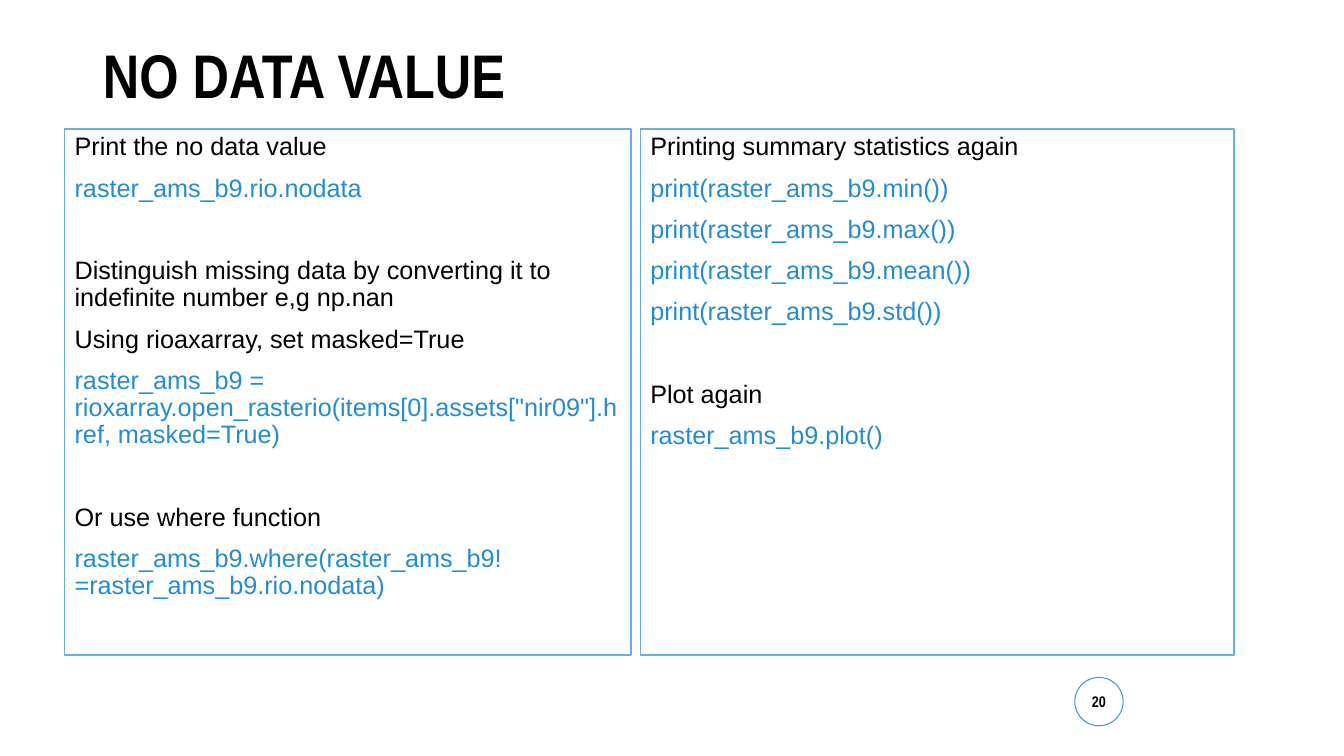
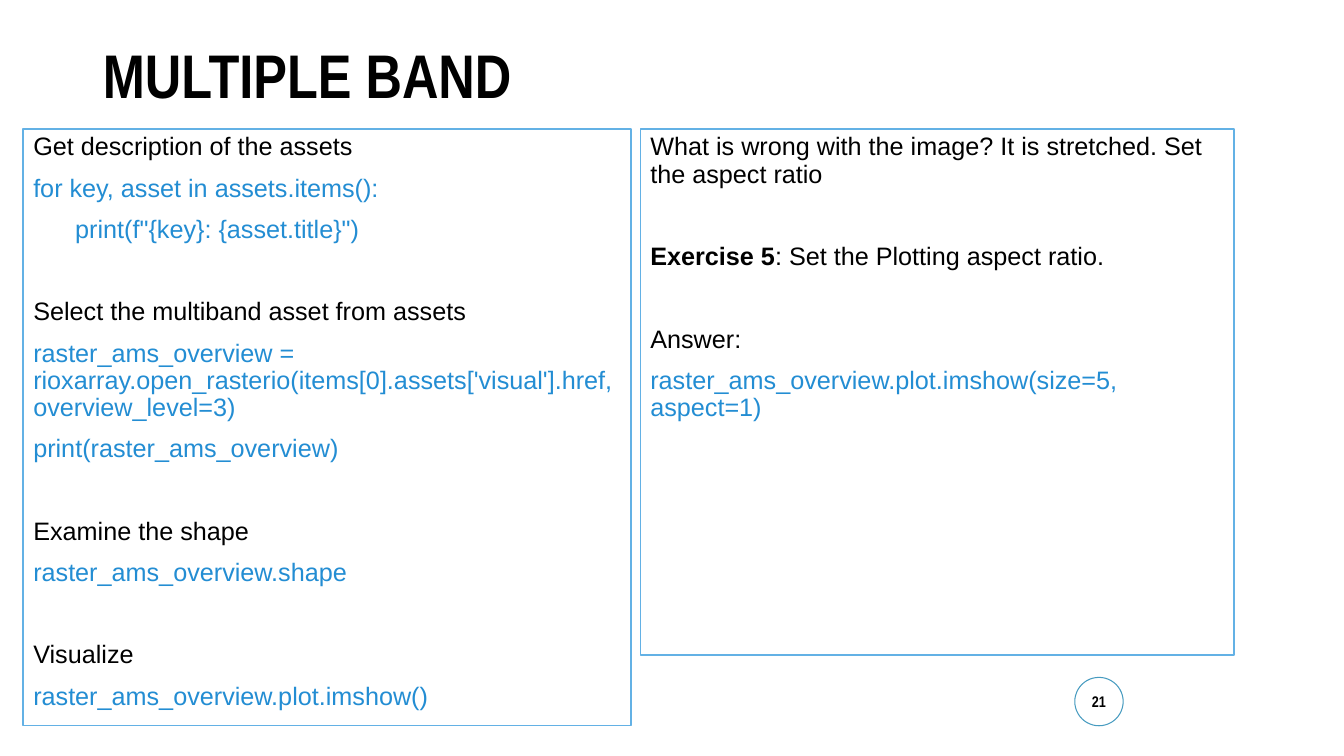
import pptx
import pptx.dml.color
import pptx.enum.shapes
import pptx.enum.text
import pptx.util
from pptx.util import Inches

TITLE_FONT, BODY_FONT = "Arial Narrow", "Arial"
BLACK, WHITE = "000000", "FFFFFF"
CODE_BLUE, FRAME_BLUE, BADGE_BLUE = "238DD3", "63B1E5", "469BC0"
FRAME_TOP = 1.28
RIGHT_FRAME = (6.35, FRAME_TOP, 5.89, 5.22)
LINE_GAP, SECTION_GAP = 10, 39.5  # points before a paragraph


def paint(target, color):
    """Give a fill or a font a solid colour."""
    if hasattr(target, "solid"):
        target.solid()
        target.fore_color.rgb = pptx.dml.color.RGBColor.from_string(color)
    else:
        target.color.rgb = pptx.dml.color.RGBColor.from_string(color)


def place(box, left, top, width, height):
    box.left, box.top = Inches(left), Inches(top)
    box.width, box.height = Inches(width), Inches(height)


# Each column is a list of sections; each section lists (style, text) lines
slides = [
    {
        "title": "NO DATA VALUE",
        "number": 20,
        "left_frame": (0.64, FRAME_TOP, 5.62, 5.22),
        "left": [
            [("text", "Print the no data value"),
             ("code", "raster_ams_b9.rio.nodata")],
            [("text", "Distinguish missing data by converting it to indefinite number e,g np.nan"),
             ("text", "Using rioaxarray, set masked=True"),
             ("code", 'raster_ams_b9 = rioxarray.open_rasterio(items[0].assets["nir09"].href, masked=True)')],
            [("text", "Or use where function"),
             ("code", "raster_ams_b9.where(raster_ams_b9!=raster_ams_b9.rio.nodata)")],
        ],
        "right": [
            [("text", "Printing summary statistics again"),
             ("code", "print(raster_ams_b9.min())"),
             ("code", "print(raster_ams_b9.max())"),
             ("code", "print(raster_ams_b9.mean())"),
             ("code", "print(raster_ams_b9.std())")],
            [("text", "Plot again"),
             ("code", "raster_ams_b9.plot()")],
        ],
    },
    {
        "title": "MULTIPLE BAND",
        "number": 21,
        "left_frame": (0.23, FRAME_TOP, 6.03, 5.92),
        "left": [
            [("text", "Get description of the assets"),
             ("code", "for key, asset in assets.items():"),
             ("code", '      print(f"{key}: {asset.title}")')],
            [("text", "Select the multiband asset from assets"),
             ("code", "raster_ams_overview = rioxarray.open_rasterio(items[0].assets['visual'].href, overview_level=3)"),
             ("code", "print(raster_ams_overview)")],
            [("text", "Examine the shape"),
             ("code", "raster_ams_overview.shape")],
            [("text", "Visualize"),
             ("code", "raster_ams_overview.plot.imshow()")],
        ],
        "right": [
            [("text", "What is wrong with the image? It is stretched. Set the aspect ratio")],
            [("exercise", "Exercise 5: Set the Plotting aspect ratio.")],
            [("text", "Answer:"),
             ("code", "raster_ams_overview.plot.imshow(size=5, aspect=1)")],
        ],
    },
]

deck = pptx.Presentation()
deck.slide_width, deck.slide_height = Inches(13.33), Inches(7.5)
two_content = deck.slide_layouts[3]

for content in slides:
    page = deck.slides.add_slide(two_content)
    paint(page.background.fill, WHITE)

    # Title
    title = page.shapes.title
    place(title, 0.92, 0.4, 11.5, 1.45)
    title.text_frame.text = content["title"]
    title.text_frame.vertical_anchor = pptx.enum.text.MSO_ANCHOR.TOP
    title.text_frame.auto_size = pptx.enum.text.MSO_AUTO_SIZE.NONE
    para = title.text_frame.paragraphs[0]
    para.alignment = pptx.enum.text.PP_ALIGN.LEFT
    para.line_spacing = 0.9
    para.font.name, para.font.size = TITLE_FONT, pptx.util.Pt(44)
    para.font.bold = True
    paint(para.font, BLACK)

    # Page number badge
    badge = page.shapes.add_shape(
        pptx.enum.shapes.MSO_SHAPE.OVAL,
        Inches(10.66), Inches(6.72), Inches(0.48), Inches(0.48))
    badge.shadow.inherit = False
    paint(badge.fill, WHITE)
    paint(badge.line.fill, BADGE_BLUE)
    badge.line.width = pptx.util.Pt(0.75)
    frame = badge.text_frame
    frame.margin_left = frame.margin_right = frame.margin_top = frame.margin_bottom = 0
    frame.vertical_anchor = pptx.enum.text.MSO_ANCHOR.MIDDLE
    frame.text = str(content["number"])
    para = frame.paragraphs[0]
    para.alignment = pptx.enum.text.PP_ALIGN.CENTER
    para.font.name, para.font.size = TITLE_FONT, pptx.util.Pt(11)
    para.font.bold = True
    paint(para.font, BLACK)

    # Framed columns of explanations and code
    columns = [(1, content["left_frame"], content["left"]),
               (2, RIGHT_FRAME, content["right"])]
    for index, bounds, sections in columns:
        box = page.placeholders[index]
        place(box, *bounds)
        paint(box.fill, WHITE)
        paint(box.line.fill, FRAME_BLUE)
        box.line.width = pptx.util.Pt(1)
        frame = box.text_frame
        frame.word_wrap = True
        frame.auto_size = pptx.enum.text.MSO_AUTO_SIZE.NONE
        frame.vertical_anchor = pptx.enum.text.MSO_ANCHOR.TOP

        for section_index, section in enumerate(sections):
            for line_index, (style, text) in enumerate(section):
                first = section_index == line_index == 0
                para = frame.paragraphs[0] if first else frame.add_paragraph()
                gap = LINE_GAP if line_index else SECTION_GAP
                para.space_before = pptx.util.Pt(0 if first else gap)
                para.line_spacing = 0.9
                properties = para._p.get_or_add_pPr()
                properties.set("marL", "0")
                properties.set("indent", "0")
                properties.append(pptx.oxml.parse_xml(
                    '<a:buNone xmlns:a="http://schemas.openxmlformats.org/drawingml/2006/main"/>'))
                para.font.name, para.font.size = BODY_FONT, pptx.util.Pt(18)
                paint(para.font, CODE_BLUE if style == "code" else BLACK)
                if style == "exercise":
                    label, colon, rest = text.partition(":")
                    span = para.add_run()
                    span.text = label
                    span.font.bold = True
                    text = colon + rest
                para.add_run().text = text

deck.save("out.pptx")
